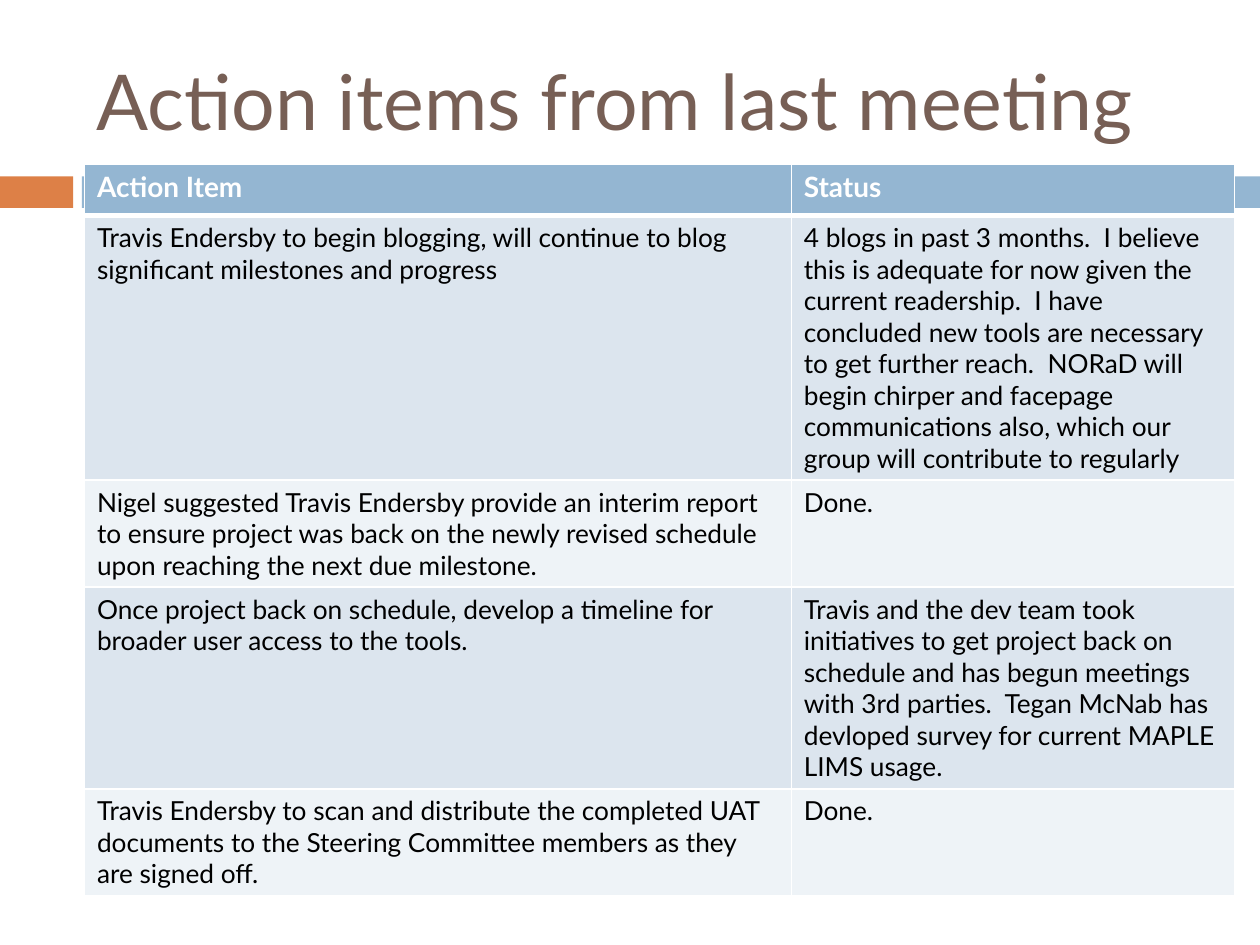
from lxml.etree import SubElement as Sub
from pptx import Presentation
from pptx.dml.color import RGBColor as RGB
from pptx.enum.shapes import MSO_SHAPE as Shape
from pptx.enum.text import MSO_ANCHOR as Anchor
from pptx.oxml.ns import qn
from pptx.util import Pt

ORANGE = RGB(0xDD, 0x80, 0x47)
BLUE = RGB(0x94, 0xB6, 0xD2)
BROWN = RGB(0x77, 0x5F, 0x55)
BAND = RGB(0xDC, 0xE5, 0xEE)
PALE = RGB(0xEE, 0xF3, 0xF7)
WHITE = RGB(0xFF, 0xFF, 0xFF)
BLACK = RGB(0, 0, 0)
FONT = "Lato"

# Each row: action, status, lines of text in its taller cell
ITEMS = [
    ("Travis Endersby to begin blogging, will continue to blog "
     "significant milestones and progress ",
     "4 blogs in past 3 months.  I believe this is adequate for now given "
     "the current readership.  I have concluded new tools are necessary to "
     "get further reach.  NORaD will begin chirper and facepage "
     "communications also, which our group will contribute to regularly", 8),
    ("Nigel suggested Travis Endersby provide an interim report to ensure "
     "project was back on the newly revised schedule upon reaching the next "
     "due milestone. ", "Done.", 3),
    ("Once project back on schedule, develop a timeline for broader user "
     "access to the tools.",
     "Travis and the dev team took initiatives to get project back on "
     "schedule and has begun meetings with 3rd parties.  Tegan McNab has "
     "devloped survey for current MAPLE LIMS usage.", 6),
    ("Travis Endersby to scan and distribute the completed UAT documents to "
     "the Steering Committee members as they are signed off. ", "Done.", 3),
]


def add_run(frame, text, size, color, bold=False):
    run = frame.paragraphs[0].add_run()
    run.text = text
    font = run.font
    font.name, font.size, font.bold = FONT, Pt(size), bold
    font.color.rgb = color


def add_band(slide, left, top, width, height):
    gap = 46.8
    for x, wide, color in ((left, 41.76, ORANGE),
                           (left + gap, width - gap, BLUE)):
        bar = slide.shapes.add_shape(
            Shape.RECTANGLE, Pt(x), Pt(top), Pt(wide), Pt(height))
        bar.shadow.inherit = False
        bar.fill.solid()
        bar.fill.fore_color.rgb = color
        bar.line.fill.background()


def add_title(slide, left, top, width, height):
    box = slide.shapes.add_textbox(Pt(left), Pt(top), Pt(width), Pt(height))
    frame = box.text_frame
    frame.word_wrap = True
    frame.vertical_anchor = Anchor.MIDDLE
    add_run(frame, "Action items from last meeting", 44, BROWN)


def set_edges(cell, base):
    props = cell._tc.get_or_add_tcPr()
    widths = {"lnL": 1, "lnR": 1, "lnT": 1, "lnB": base}
    for at, (tag, wide) in enumerate(widths.items()):
        line = Sub(props, qn("a:" + tag), w=str(Pt(wide)))
        fill = Sub(line, qn("a:solidFill"))
        Sub(fill, qn("a:srgbClr"), val=str(WHITE))
        props.insert(at, line)


def add_items(slide, left, top, width):
    rows = [("Action Item", "Status", 0)] + ITEMS
    highs = [29.5] + [18 * lines + 7.2 for _, _, lines in ITEMS]
    grid = slide.shapes.add_table(
        len(rows), 2, Pt(left), Pt(top), Pt(width), Pt(sum(highs))).table
    first = 403.92
    grid.columns[0].width = Pt(first)
    grid.columns[1].width = Pt(width - first)
    for r, (row, high) in enumerate(zip(rows, highs)):
        grid.rows[r].height = Pt(high)
        head = r == 0
        for c, text in enumerate(row[:2]):
            cell = grid.cell(r, c)
            cell.fill.solid()
            cell.fill.fore_color.rgb = BLUE if head else BAND if r % 2 else PALE
            # The header rule is shared with the row under it
            set_edges(cell, 3 if head else 1)
            if r == 1:
                cell._tc.tcPr.find(qn("a:lnT")).set("w", str(Pt(3)))
            add_run(cell.text_frame, text, 16 if head else 15,
                    WHITE if head else BLACK, head)


deck = Presentation()
deck.slide_width, deck.slide_height = Pt(720), Pt(540)
page = deck.slides.add_slide(deck.slide_layouts[6])
add_band(page, 0, 100.8, 720, 18)
add_title(page, 48, 18, 642, 78)
add_items(page, 48.24, 93.6, 657.36)
deck.save("out.pptx")
